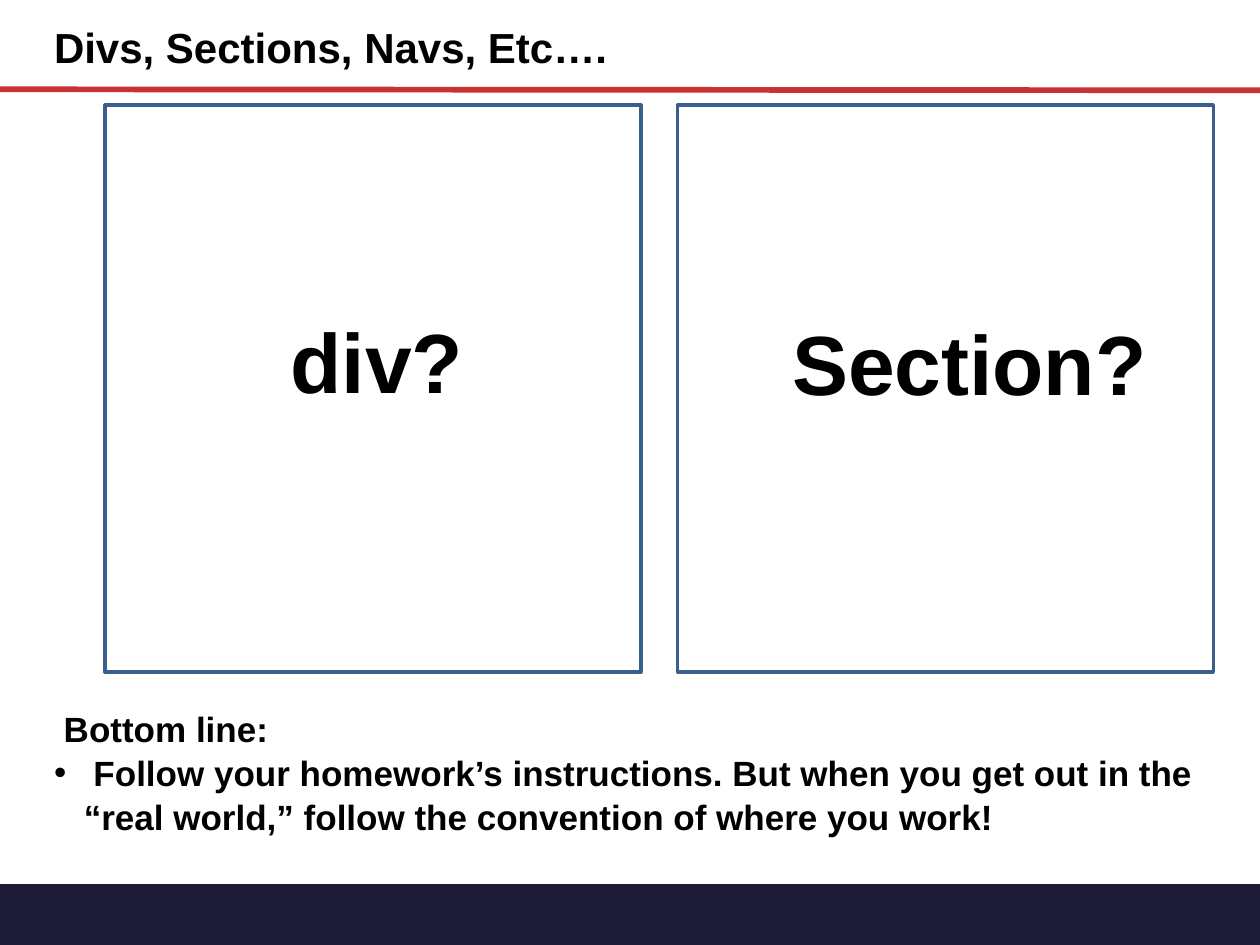
from lxml import etree
from pptx import Presentation
from pptx.dml.color import RGBColor
from pptx.enum.shapes import MSO_CONNECTOR, MSO_SHAPE
from pptx.enum.text import MSO_ANCHOR
from pptx.oxml.ns import qn
from pptx.util import Cm, Pt

RECT, FOOTER = MSO_SHAPE.RECTANGLE, MSO_SHAPE.FLOWCHART_PROCESS
STRAIGHT = MSO_CONNECTOR.STRAIGHT
TOP, MIDDLE = MSO_ANCHOR.TOP, MSO_ANCHOR.MIDDLE

NAVY = RGBColor(0x1D, 0x1A, 0x36)
RED = RGBColor(0xC8, 0x32, 0x32)
BLUE = RGBColor(0x3A, 0x5F, 0x8C)
BLACK = RGBColor(0, 0, 0)
FONT = "Arial"

# Content
TITLE = "Divs, Sections, Navs, Etc…."
ADVICE = [
    (" Bottom line:", False),
    (" Follow your homework’s instructions. But when you get out in the "
     "“real world,” follow the convention of where you work!", True),
]
# Label, then its left, top and width in cm
PANELS = [("div?", 5.61, 6.07, 3.99), ("Section?", 15.72, 6.1, 7.65)]

# Panel grid, in cm
PANEL_LEFT, PANEL_TOP, PANEL_W, PANEL_H, PANEL_GAP = 2.12, 2.12, 10.8, 11.43, 1.9 - 1.16


def add_text(s, box, lines, size, anchor=TOP, wrap=True, inset=0.13):
    tf = s.shapes.add_textbox(*map(Cm, box)).text_frame
    tf.word_wrap = wrap
    tf.vertical_anchor = anchor
    tf.margin_left = tf.margin_right = Cm(0.25)
    tf.margin_top = tf.margin_bottom = Cm(inset)
    for i, (text, bulleted) in enumerate(lines):
        p = tf.add_paragraph() if i else tf.paragraphs[0]
        p.text = text
        p.line_spacing = 1.05
        if bulleted:
            add_bullet(p)
        font = p.runs[0].font
        font.name, font.size, font.bold = FONT, Pt(size), True
        font.color.rgb = BLACK


def add_bullet(p):
    pPr = p._p.get_or_add_pPr()
    pPr.set("marL", str(Cm(0.6)))
    pPr.set("indent", str(-Cm(0.6)))
    etree.SubElement(pPr, qn("a:buFont")).set("typeface", FONT)
    etree.SubElement(pPr, qn("a:buChar")).set("char", "•")


prs = Presentation()
prs.slide_width, prs.slide_height = Cm(25.4), Cm(19.05)
s = prs.slides.add_slide(prs.slide_layouts[6])

# Footer band and header rule
footer = s.shapes.add_shape(FOOTER, Cm(0), Cm(17.82), Cm(25.42), Cm(1.27))
footer.shadow.inherit = False
footer.fill.solid()
footer.fill.fore_color.rgb = NAVY
footer.line.fill.background()

rule = s.shapes.add_connector(STRAIGHT, Cm(0), Cm(1.8), Cm(25.4), Cm(1.82))
rule.line.color.rgb = RED
rule.line.width = Pt(3.25)
etree.SubElement(rule._element.spPr, qn("a:effectLst"))

# Title and advice
add_text(s, (0.84, 0.28, 15.88, 1.27), [(TITLE, False)], 24, MIDDLE)
add_text(s, (0.84, 13.97, 24.26, 3.38), ADVICE, 20, inset=0.25)

# Two panels side by side
for i in range(len(PANELS)):
    left = PANEL_LEFT + i * (PANEL_W + PANEL_GAP)
    panel = s.shapes.add_shape(RECT, Cm(left), Cm(PANEL_TOP), Cm(PANEL_W), Cm(PANEL_H))
    panel.shadow.inherit = False
    panel.fill.background()
    panel.line.color.rgb = BLUE
    panel.line.width = Pt(2)

# Panel labels
for label, left, top, width in PANELS:
    add_text(s, (left, top, width, 2.29), [(label, False)], 48, MIDDLE, wrap=False)

prs.save("out.pptx")
